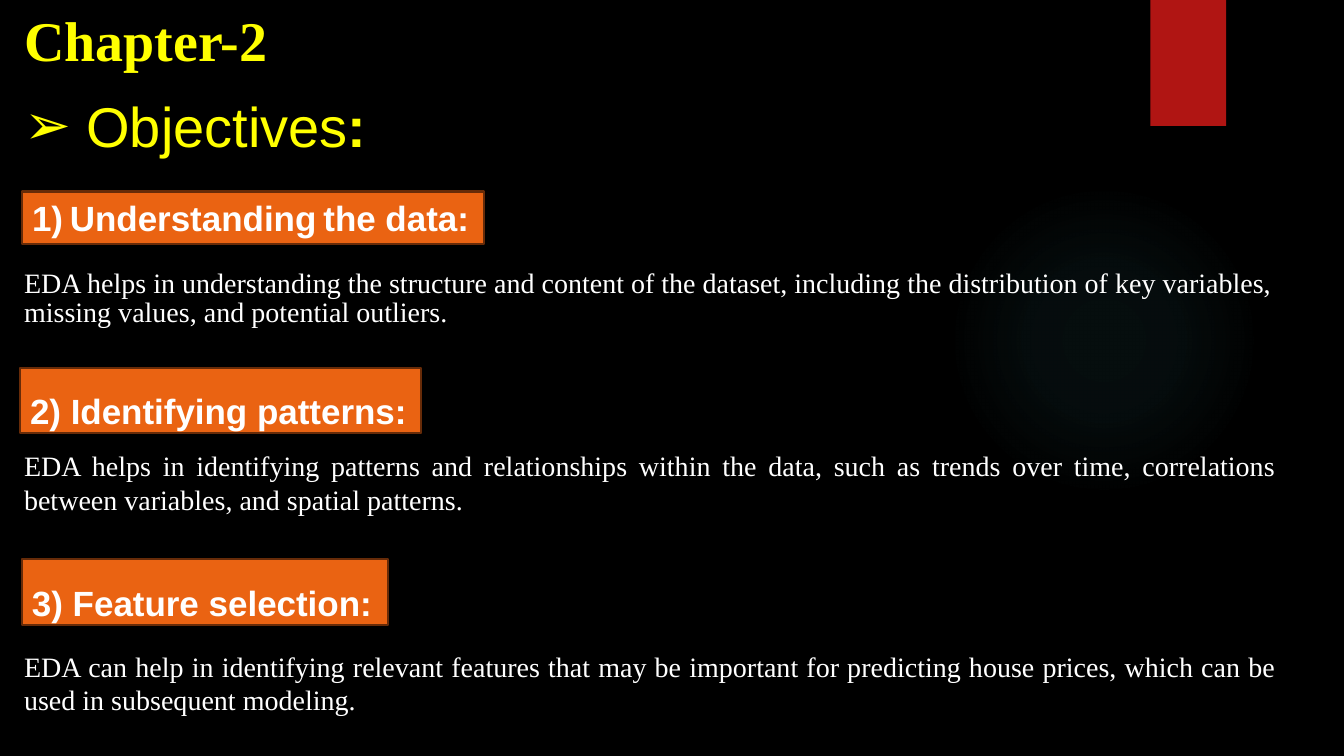
from lxml import etree
from pptx import Presentation
from pptx.dml.color import RGBColor
from pptx.enum import shapes, text
from pptx.oxml import ns
from pptx.util import Pt

SERIF, SANS = "Times New Roman", "Arial"
YELLOW, WHITE = "FFFF00", "FFFFFF"
SINGLE, LABEL, WIDE = 1.0, 1.4, 1.5


def colour(value):
    return RGBColor.from_string(value)


def add_child(parent, tag, **attributes):
    return etree.SubElement(parent, ns.qn(tag), attributes)


def set_bullet(paragraph, indent, tag, **attributes):
    properties = paragraph._p.get_or_add_pPr()
    properties.set("marL", str(Pt(indent)))
    properties.set("indent", str(-Pt(indent)))
    add_child(properties, "a:buFont", typeface=SANS)
    add_child(properties, tag, **attributes)


def write(holder, runs, size, font, tint, bold=False, spacing=SINGLE, justify=False):
    frame = holder.text_frame
    frame.word_wrap = True
    frame.auto_size = text.MSO_AUTO_SIZE.NONE
    frame.vertical_anchor = text.MSO_ANCHOR.TOP
    paragraph = frame.paragraphs[0]
    paragraph.alignment = text.PP_ALIGN.JUSTIFY if justify else text.PP_ALIGN.LEFT
    paragraph.line_spacing = spacing
    paragraph.space_before = Pt(0)
    paragraph.font.size = Pt(size)
    paragraph.font.name = font
    paragraph.font.bold = bold
    paragraph.font.color.rgb = colour(tint)
    for words in runs:
        run = paragraph.add_run()
        run.text = words
        run.font.size = Pt(size)
        run.font.name = font
        run.font.bold = bold
        run.font.color.rgb = colour(tint)
    return paragraph


def add_block(slide, kind, box, fill=None):
    block = slide.shapes.add_shape(kind, *map(Pt, box))
    block.shadow.inherit = False
    block.line.fill.background()
    if fill:
        block.fill.solid()
        block.fill.fore_color.rgb = colour(fill)
    return block


def add_backdrop(slide):
    slide.background.fill.solid()
    slide.background.fill.fore_color.rgb = colour("000000")
    glow = add_block(slide, shapes.MSO_SHAPE.OVAL, (677.5, 131.8, 221.8, 221.8))
    glow.fill.gradient()
    gradient = glow._element.spPr.find(ns.qn("a:gradFill"))
    for child in list(gradient):
        gradient.remove(child)
    stops = add_child(gradient, "a:gsLst")
    for position, opacity in ((0, 7), (36, 6), (69, 0)):
        stop = add_child(stops, "a:gs", pos=str(position * 1000))
        shade = add_child(stop, "a:srgbClr", val="50B9C1")
        add_child(shade, "a:alpha", val=str(opacity * 1000))
    centre = add_child(gradient, "a:path", path="circle")
    add_child(centre, "a:fillToRect", l="50000", t="50000", r="50000", b="50000")
    add_block(slide, shapes.MSO_SHAPE.RECTANGLE, (821.8, 0, 54, 90), "B01513")


def add_heading(slide, box):
    left, top, width, height = box
    chapter = slide.shapes.title
    chapter.left, chapter.top, chapter.width, chapter.height = map(Pt, box)
    write(chapter, ["Chapter-2"], 40, SERIF, YELLOW, bold=True)
    objectives = slide.shapes.add_textbox(Pt(left), Pt(top + 61.9), Pt(width + 50), Pt(height))
    paragraph = write(objectives, [" ", "Objectives", ":"], 40, SANS, YELLOW, bold=True)
    paragraph.runs[1].font.bold = False
    set_bullet(paragraph, 22.5, "a:buChar", char="➢")


def add_label(slide, box, runs, spacing=LABEL):
    label = add_block(slide, shapes.MSO_SHAPE.RECTANGLE, box, "EA6312")
    label.line.color.rgb = colour("672B08")
    label.line.width = Pt(1.5)
    return write(label, runs, 25, SANS, WHITE, bold=True, spacing=spacing)


def add_body(slide, box, words, spacing=SINGLE):
    body = slide.shapes.add_textbox(*map(Pt, box))
    write(body, [words], 20, SERIF, WHITE, spacing=spacing, justify=True)


def add_understanding(slide, left):
    label = add_label(slide, (left + 5.7, 136.8, 329.8, 37.4),
                      ["Understanding", " ", "the data:"], SINGLE)
    label.runs[1].font.size = Pt(18)
    set_bullet(label, 27, "a:buAutoNum", type="arabicParenR")
    add_body(slide, (left, 174.2, 920.2, 39.6),
             "EDA helps in understanding the structure and content of the dataset, "
             "including the distribution of key variables,", WIDE)
    add_body(slide, (left, 206.6, 483.8, 31.7), "missing values, and potential outliers.")


def add_objective(slide, label_box, heading, left, body_top, words):
    add_label(slide, label_box, [heading])
    add_body(slide, (left, body_top, 908.6, 55.4), words)


def main():
    deck = Presentation()
    deck.slide_width, deck.slide_height = Pt(960), Pt(540)
    slide = deck.slides.add_slide(deck.slide_layouts[5])
    left = 10.1
    add_backdrop(slide)
    add_heading(slide, (left, 0, 253.4, 104.4))
    add_understanding(slide, left)
    add_objective(slide, (14.4, 262.8, 286.6, 46.8), "2) Identifying patterns:", left, 316.8,
                  "EDA helps in identifying patterns and relationships within the data, such as "
                  "trends over time, correlations between variables, and spatial patterns.")
    add_objective(slide, (15.8, 399.6, 261.4, 46.8), "3) Feature selection:", left, 460.1,
                  "EDA can help in identifying relevant features that may be important for "
                  "predicting house prices, which can be used in subsequent modeling.")
    deck.save("out.pptx")


if __name__ == "__main__":
    main()
